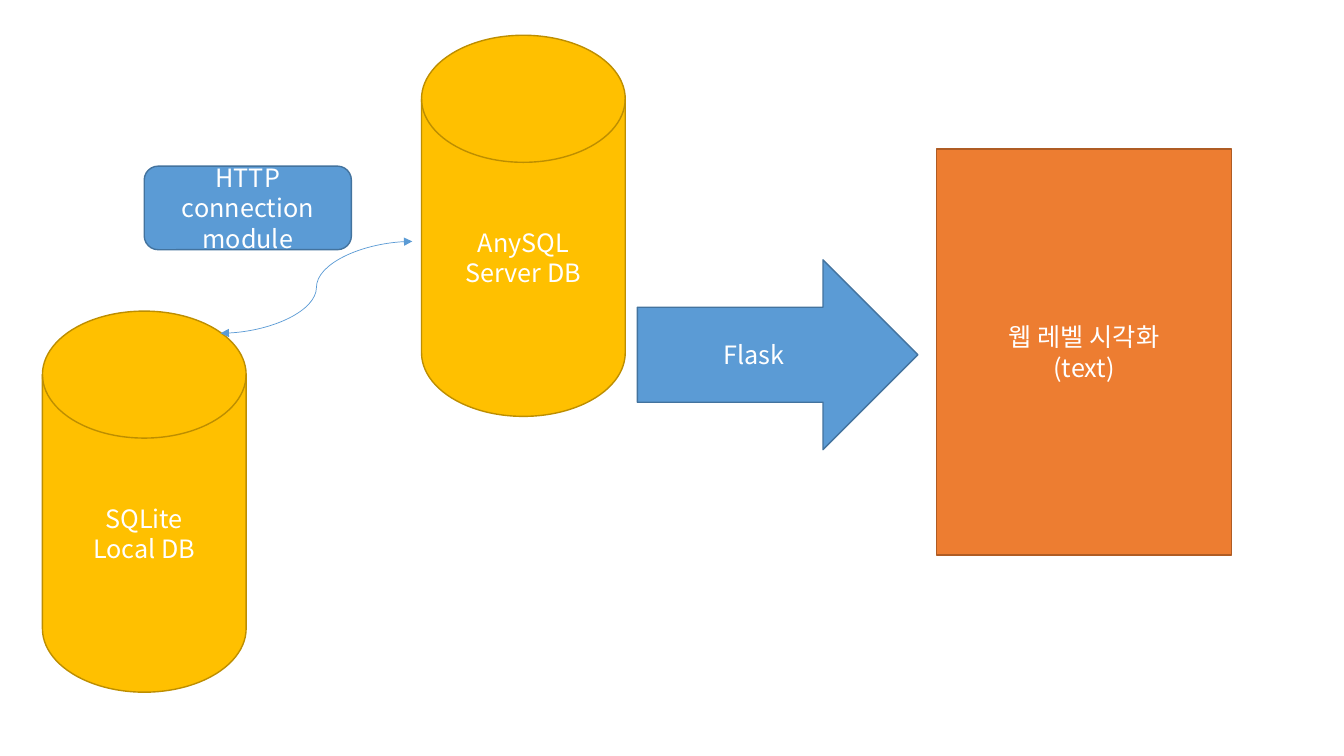
from lxml.etree import SubElement
from pptx import Presentation
from pptx.dml.color import RGBColor
from pptx.enum.shapes import MSO_CONNECTOR, MSO_SHAPE
from pptx.enum.text import MSO_ANCHOR, PP_ALIGN
from pptx.oxml.ns import qn
from pptx.util import Pt

FONT = "Noto Sans CJK KR"
GOLD = ("FFC000", "BD8E00")
BLUE = ("5B9BD5", "43739E")
RUST = ("ED7D31", "AF5C24")


def color(code):
    return RGBColor.from_string(code)


class Board:
    """Holds the text style and the current slide."""

    def __init__(self, slide):
        self.slide = slide
        self.style = {"name": FONT, "size": Pt(18)}

    def block(self, kind, box, tone, lines):
        fill, edge = tone
        shape = self.slide.shapes.add_shape(kind, *map(Pt, box))
        shape.shadow.inherit = False
        shape.fill.solid()
        shape.fill.fore_color.rgb = color(fill)
        shape.line.color.rgb = color(edge)
        shape.line.width = Pt(1)
        self.label(shape.text_frame, lines)

    def label(self, frame, lines):
        frame.word_wrap = True
        frame.vertical_anchor = MSO_ANCHOR.MIDDLE
        frame.text = "\n".join(lines)
        for para in frame.paragraphs:
            para.alignment = PP_ALIGN.CENTER
            for run in para.runs:
                for key, value in self.style.items():
                    setattr(run.font, key, value)
                run.font.color.rgb = color("FFFFFF")
                # Korean letters take the East Asian font
                SubElement(run.font._element, qn("a:ea"), typeface=FONT)

    def curve(self, start, end, tone):
        ends = map(Pt, (*start, *end))
        link = self.slide.shapes.add_connector(MSO_CONNECTOR.CURVE, *ends)
        link.line.color.rgb = color(tone)
        link.line.width = Pt(0.5)
        edge = link.line._get_or_add_ln()
        for tip in ("a:headEnd", "a:tailEnd"):
            SubElement(edge, qn(tip), type="triangle")
        SubElement(link._element.spPr, qn("a:effectLst"))


def main():
    deck = Presentation()
    deck.slide_width, deck.slide_height = Pt(960), Pt(540)
    board = Board(deck.slides.add_slide(deck.slide_layouts[6]))

    # Databases
    disk = (145.5, 272.2)
    stores = [
        ((30.3, 222.2), ["SQLite", "Local DB"]),
        ((301.1, 25.2), ["AnySQL", "Server DB"]),
    ]
    for spot, lines in stores:
        board.block(MSO_SHAPE.FLOWCHART_MAGNETIC_DISK, spot + disk, GOLD, lines)

    # Link between the databases
    board.block(MSO_SHAPE.ROUNDED_RECTANGLE, (103, 118.7, 148, 59.7), BLUE,
                ["HTTP connection module"])
    board.curve((157.6, 238.1), (294.5, 172.5), BLUE[0])

    # Web output
    board.block(MSO_SHAPE.RIGHT_ARROW, (455.3, 185.6, 200.4, 135.6), BLUE,
                ["Flask"])
    board.block(MSO_SHAPE.FLOWCHART_PROCESS, (668.9, 106.4, 210.8, 290), RUST,
                ["웹 레벨 시각화\v(text)"])

    deck.save("out.pptx")


if __name__ == "__main__":
    main()
